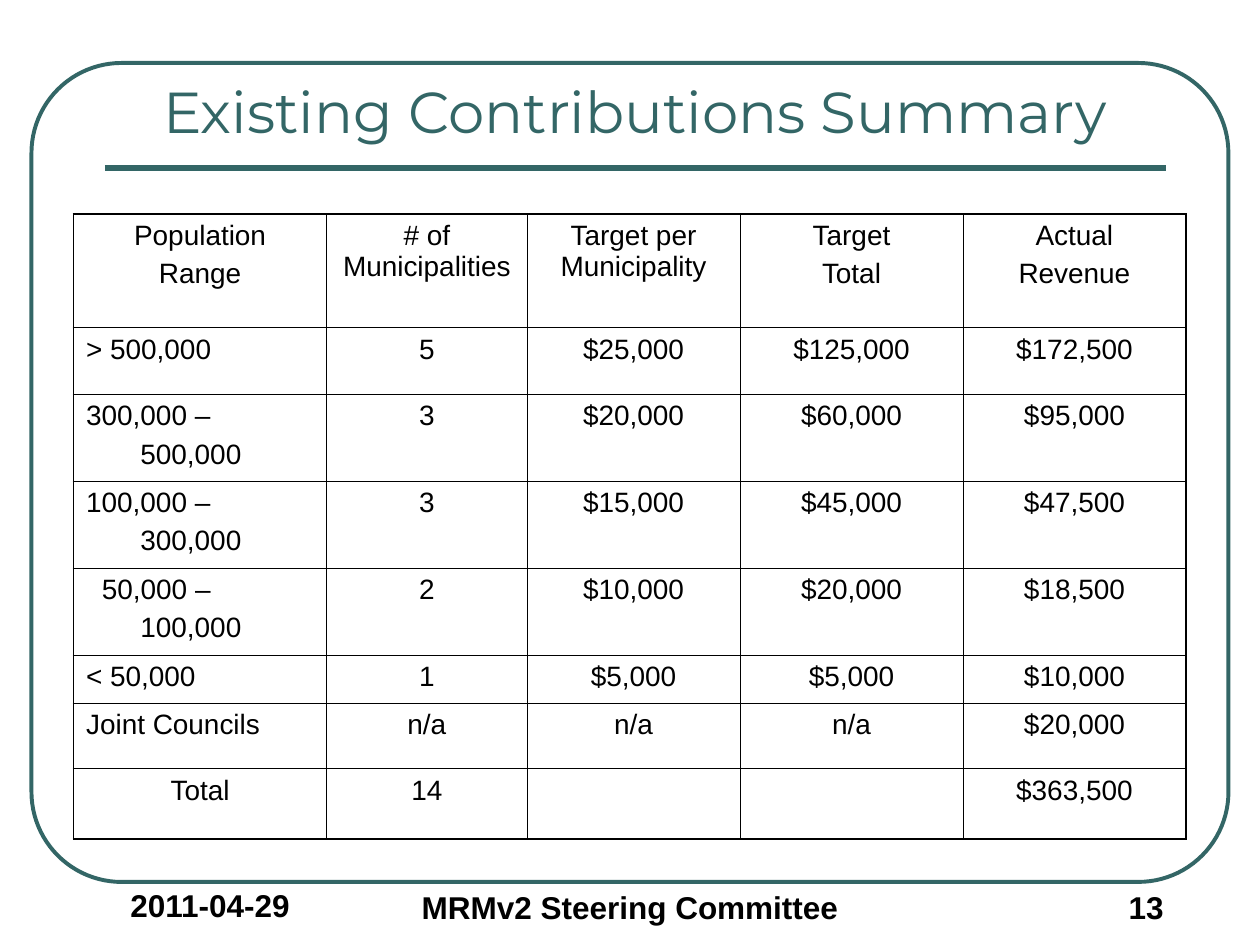
"""Build the Existing Contributions Summary slide."""
import pptx
import pptx.dml.color
import pptx.enum.shapes
import pptx.enum.text
import pptx.oxml
import pptx.oxml.ns
import pptx.util

Pt = pptx.util.Pt
ALIGN = pptx.enum.text.PP_ALIGN
ANCHOR = pptx.enum.text.MSO_ANCHOR


def rgb(value):
    return pptx.dml.color.RGBColor.from_string(value)


class SlideBuilder:
    accent = "336666"
    ink = "000000"
    body_font = "Arial"
    title_font = "Montserrat"
    cell_size = 16
    outer_border = 1.08
    inner_border = 0.45

    def __init__(self, slide):
        self.slide = slide

    def frame(self, x, y, w, h, radius, width):
        shape_type = pptx.enum.shapes.MSO_SHAPE.ROUNDED_RECTANGLE
        sp = self.slide.shapes.add_shape(shape_type, Pt(x), Pt(y), Pt(w), Pt(h))
        sp.adjustments[0] = radius
        sp.shadow.inherit = False
        sp.fill.background()
        sp.line.color.rgb = rgb(self.accent)
        sp.line.width = Pt(width)

    def rule(self, x1, x2, y, width):
        straight = pptx.enum.shapes.MSO_CONNECTOR.STRAIGHT
        line = self.slide.shapes.add_connector(straight, Pt(x1), Pt(y), Pt(x2), Pt(y))
        line.line.color.rgb = rgb(self.accent)
        line.line.width = Pt(width)
        pptx.oxml.ns.qn("a:effectLst")
        line._element.spPr.append(
            pptx.oxml.parse_xml(f"<a:effectLst {pptx.oxml.ns.nsdecls('a')}/>"))

    def style(self, p, size, color, font, align, bold=False):
        p.alignment = align
        p.font.size = Pt(size)
        p.font.name = font
        p.font.bold = bold
        p.font.color.rgb = rgb(color)

    def text_box(self, x, y, w, h, text):
        sp = self.slide.shapes.add_textbox(Pt(x), Pt(y), Pt(w), Pt(h))
        tf = sp.text_frame
        tf.word_wrap = True
        tf.text = text
        return tf

    def title(self, x, y, w, h, text):
        tf = self.text_box(x, y, w, h, text)
        tf.margin_left = tf.margin_right = tf.margin_top = tf.margin_bottom = 0
        tf.vertical_anchor = ANCHOR.MIDDLE
        self.style(tf.paragraphs[0], 33, self.accent, self.title_font, ALIGN.CENTER)

    def footer(self, x, y, w, h, text, align=ALIGN.CENTER):
        tf = self.text_box(x, y, w, h, text)
        self.style(tf.paragraphs[0], 18, self.ink, self.body_font, align, bold=True)

    def borders(self, cell, outer_sides):
        tc_pr = cell._tc.get_or_add_tcPr()
        for side in "LRTB":
            width = self.outer_border if side in outer_sides else self.inner_border
            tc_pr.append(pptx.oxml.parse_xml(
                f'<a:ln{side} {pptx.oxml.ns.nsdecls("a")} w="{Pt(width)}">'
                f'<a:solidFill><a:srgbClr val="{self.ink}"/></a:solidFill></a:ln{side}>'))

    def cell(self, cell, text, align, indents, outer_sides):
        cell.margin_left = cell.margin_right = Pt(7.2)
        cell.margin_top = cell.margin_bottom = Pt(3.6)
        cell.text_frame.text = text
        for i, p in enumerate(cell.text_frame.paragraphs):
            if i:
                p.space_before = Pt(4)
            if i < len(indents):
                p._p.get_or_add_pPr().set("marL", str(Pt(indents[i])))
            self.style(p, self.cell_size, self.ink, self.body_font, align)
        self.borders(cell, outer_sides)
        cell.fill.background()

    def table(self, x, y, widths, heights, rows, indents):
        n_rows, n_cols = len(rows), len(widths)
        table = self.slide.shapes.add_table(
            n_rows, n_cols, Pt(x), Pt(y), Pt(sum(widths)), Pt(sum(heights))).table
        table.first_row = table.horz_banding = False
        for column, width in zip(table.columns, widths):
            column.width = Pt(width)
        for r, (values, height) in enumerate(zip(rows, heights)):
            table.rows[r].height = Pt(height)
            for c, text in enumerate(values):
                is_range = c == 0 and 0 < r < n_rows - 1
                edges = {"L": c == 0, "R": c == n_cols - 1,
                         "T": r == 0, "B": r == n_rows - 1}
                self.cell(table.cell(r, c), text,
                          ALIGN.LEFT if is_range else ALIGN.CENTER,
                          indents.get(r, ()) if is_range else (),
                          [side for side, outer in edges.items() if outer])


ROWS = [
    ("Population\nRange", "# of Municipalities", "Target per Municipality",
     "Target\nTotal", "Actual\nRevenue"),
    ("> 500,000", "5", "$25,000", "$125,000", "$172,500"),
    ("300,000 –\n500,000", "3", "$20,000", "$60,000", "$95,000"),
    ("100,000 –\n300,000", "3", "$15,000", "$45,000", "$47,500"),
    ("50,000 –\n100,000", "2", "$10,000", "$20,000", "$18,500"),
    ("< 50,000", "1", "$5,000", "$5,000", "$10,000"),
    ("Joint Councils", "n/a", "n/a", "n/a", "$20,000"),
    ("Total", "14", "", "", "$363,500"),
]
WIDTHS = [144.7, 114.5, 121.7, 127.4, 127.4]
HEIGHTS = [64.8, 38.2, 49.7, 49.7, 49.7, 27.4, 37.4, 40.3]
INDENTS = {2: (0, 31), 3: (0, 31), 4: (9, 31)}


def main():
    prs = pptx.Presentation()
    prs.slide_width, prs.slide_height = Pt(720), Pt(540)
    s = SlideBuilder(prs.slides.add_slide(prs.slide_layouts[6]))
    s.frame(18, 36, 684, 468, 0.11, 2.25)
    s.rule(60, 666, 96, 3)
    s.footer(60, 503, 120, 36, "2011-04-29")
    s.footer(228, 504, 264, 36, "MRMv2 Steering Committee")
    s.footer(600, 504, 72, 36, "13", ALIGN.RIGHT)
    s.title(60, 42, 606, 42, "Existing Contributions Summary")
    s.table(42, 122.4, WIDTHS, HEIGHTS, ROWS, INDENTS)
    prs.save("out.pptx")


if __name__ == "__main__":
    main()
